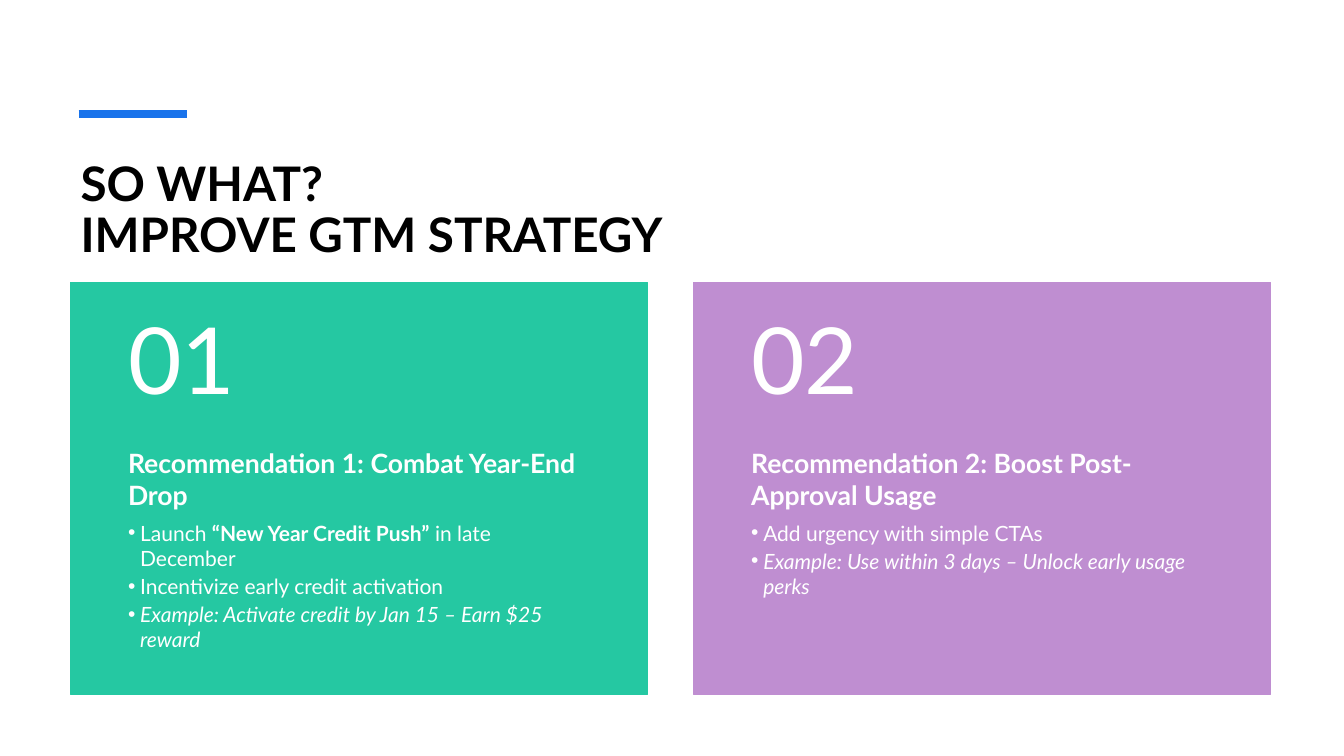
"""Build the recommendations slide: a title, an accent rule and two numbered cards."""
from dataclasses import dataclass
from typing import Any

from lxml.etree import SubElement
from pptx import Presentation
from pptx.dml.color import RGBColor
from pptx.enum.shapes import MSO_CONNECTOR as Connector, MSO_SHAPE as Preset
from pptx.enum.text import MSO_ANCHOR as Anchor, MSO_AUTO_SIZE as AutoSize, PP_ALIGN as Align
from pptx.oxml.ns import qn
from pptx.util import Pt

EMU_PER_PX = 9144
FONT = "Lato"
COLORS = {"title": "000000", "accent": "1973EB", "text": "FFFFFF",
          "green": "25C8A2", "purple": "BF8ED1"}
CARD_LEFT, CARD_TOP, CARD_WIDTH, CARD_HEIGHT = 70, 280, 572, 409
CARD_STEP = 618
NUMBER_HEIGHT = 164
CARD_INSET = 57
BULLET_INDENT = 12

NUMBER_FORMAT = {"size": Pt(66), "bold": False}
HEADING_FORMAT = {"size": Pt(19), "bold": True}
PLAIN = {"size": Pt(15), "bold": False, "italic": False}
STRONG = {**PLAIN, "bold": True}
EXAMPLE = {**PLAIN, "italic": True}


@dataclass(frozen=True)
class Run:
    text: str
    style: dict[str, Any]


@dataclass(frozen=True)
class Card:
    number: str
    color: str
    heading: str
    bullets: tuple[tuple[Run, ...], ...]


CARDS = (
    Card("01", "green", "Recommendation 1: Combat Year-End Drop", (
        (Run("Launch ", PLAIN), Run("“New Year Credit Push”", STRONG),
         Run(" in late December", PLAIN)),
        (Run("Incentivize early credit activation", PLAIN),),
        (Run("Example: Activate credit by Jan 15 – Earn $25 reward", EXAMPLE),),
    )),
    Card("02", "purple", "Recommendation 2: Boost Post-Approval Usage", (
        (Run("Add urgency with simple CTAs", PLAIN),),
        (Run("Example: Use within 3 days – Unlock early usage perks", EXAMPLE),),
    )),
)


def px(length: int) -> int:
    """Convert px to EMU."""
    return length * EMU_PER_PX


def color(name: str) -> RGBColor:
    """Look up a named colour."""
    return RGBColor.from_string(COLORS[name])


def set_values(target: Any, values: dict[str, Any]) -> None:
    """Set every attribute in values on the target."""
    for name, value in values.items():
        setattr(target, name, value)


def place(shape: Any, left: int, top: int, width: int, height: int) -> None:
    """Move and size a shape in px."""
    set_values(shape, {"left": px(left), "top": px(top),
                       "width": px(width), "height": px(height)})


def format_frame(shape: Any, anchor: Any, inset: int, top: int, bottom: int) -> None:
    """Set wrapping, anchor and margins of a text frame."""
    set_values(shape.text_frame, {
        "word_wrap": True, "auto_size": AutoSize.NONE, "vertical_anchor": anchor,
        "margin_left": px(inset), "margin_right": px(inset),
        "margin_top": px(top), "margin_bottom": px(bottom)})


def add_run(paragraph: Any, run: Run, color_name: str = "text") -> None:
    """Append a formatted run."""
    text_run = paragraph.add_run()
    text_run.text = run.text
    set_values(text_run.font, {"name": FONT, **run.style})
    text_run.font.color.rgb = color(color_name)


def format_paragraph(paragraph: Any, spacing: float, after: float, indent: int = 0,
                     bullet: str = "") -> None:
    """Set spacing, hanging indent and bullet of a paragraph."""
    set_values(paragraph, {"alignment": Align.LEFT, "line_spacing": spacing,
                           "space_before": Pt(0), "space_after": Pt(after)})
    properties = paragraph._p.get_or_add_pPr()
    properties.set("marL", str(px(indent)))
    properties.set("indent", str(px(-indent)))
    if bullet:
        SubElement(properties, qn("a:buChar")).set("char", bullet)
    else:
        SubElement(properties, qn("a:buNone"))


def fill_title(title: Any) -> None:
    """Write the two-line slide title."""
    place(title, 70, 150, 1191, 120)
    format_frame(title, Anchor.MIDDLE, 10, 5, 5)
    paragraph = title.text_frame.paragraphs[0]
    format_paragraph(paragraph, 0.9, 0)
    style = {"size": Pt(34), "bold": True}
    add_run(paragraph, Run("SO WHAT?", style), "title")
    paragraph.add_line_break()
    add_run(paragraph, Run("IMPROVE GTM STRATEGY", style), "title")


def add_accent(slide: Any) -> None:
    """Draw the thick rule above the title."""
    rule = slide.shapes.add_connector(Connector.STRAIGHT, px(78), px(113), px(185), px(113))
    rule.line.color.rgb = color("accent")
    rule.line.width = Pt(6)
    SubElement(rule._element.spPr, qn("a:effectLst"))


def add_card(slide: Any, body: Any, card: Card, left: int) -> None:
    """Draw a card with its number and fill its list placeholder."""
    panel = slide.shapes.add_shape(Preset.RECTANGLE, 0, 0, 0, 0)
    place(panel, left, CARD_TOP, CARD_WIDTH, CARD_HEIGHT)
    panel.shadow.inherit = False
    panel.fill.solid()
    panel.fill.fore_color.rgb = color(card.color)
    panel.line.color.rgb = color(card.color)
    panel.line.width = Pt(1)
    body.element.addprevious(panel.element)

    number = slide.shapes.add_textbox(0, 0, 0, 0)
    place(number, left, CARD_TOP, CARD_WIDTH, NUMBER_HEIGHT)
    format_frame(number, Anchor.MIDDLE, CARD_INSET, 18, 18)
    format_paragraph(number.text_frame.paragraphs[0], 0.9, 0)
    add_run(number.text_frame.paragraphs[0], Run(card.number, NUMBER_FORMAT))

    place(body, left, CARD_TOP + NUMBER_HEIGHT - 1, CARD_WIDTH, CARD_HEIGHT - NUMBER_HEIGHT)
    format_frame(body, Anchor.TOP, CARD_INSET, 0, 36)
    heading = body.text_frame.paragraphs[0]
    format_paragraph(heading, 1.0, 7)
    add_run(heading, Run(card.heading, HEADING_FORMAT))
    for runs in card.bullets:
        paragraph = body.text_frame.add_paragraph()
        paragraph.level = 1
        format_paragraph(paragraph, 1.0, 2, BULLET_INDENT, "•")
        for run in runs:
            add_run(paragraph, run)


def main() -> None:
    """Build and save the presentation."""
    presentation = Presentation()
    presentation.slide_width, presentation.slide_height = px(1333), px(750)
    slide = presentation.slides.add_slide(presentation.slide_layouts.get_by_name("Two Content"))
    title, *bodies = slide.placeholders
    fill_title(title)
    add_accent(slide)
    for index, (body, card) in enumerate(zip(bodies, CARDS)):
        add_card(slide, body, card, CARD_LEFT + index * CARD_STEP)
    presentation.save("out.pptx")


if __name__ == "__main__":
    main()
